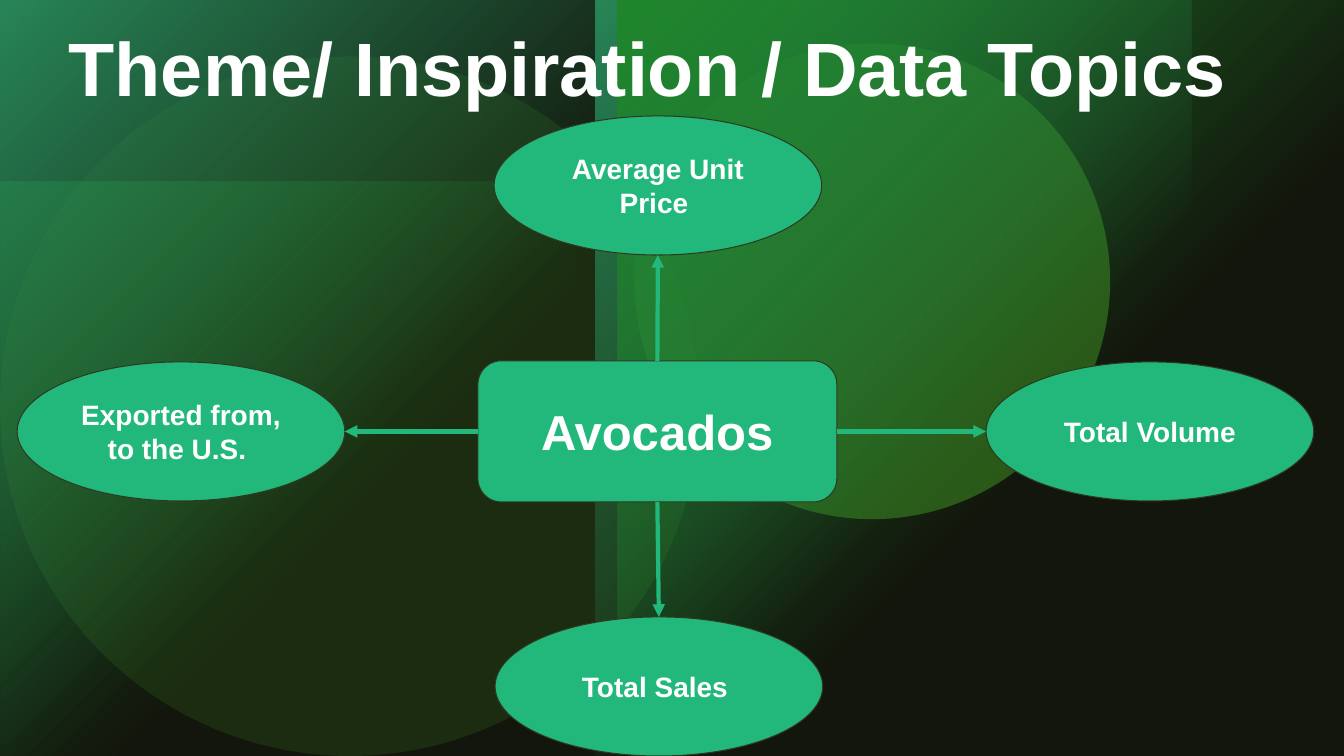
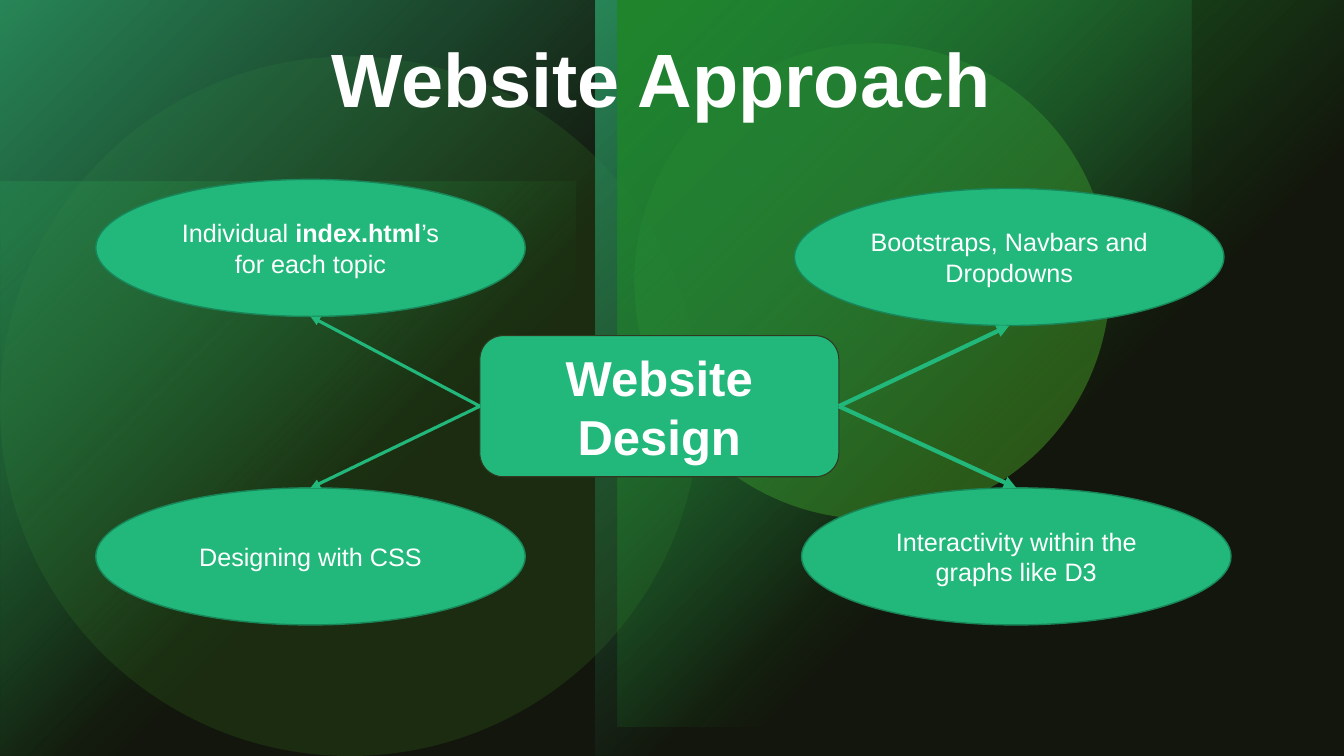
"""Build two hub-and-spoke slides on a shared green backdrop."""
from dataclasses import dataclass

from pptx import Presentation
from pptx.dml.color import RGBColor
from pptx.enum.shapes import MSO_CONNECTOR, MSO_SHAPE
from pptx.enum.text import MSO_ANCHOR, PP_ALIGN
from pptx.oxml import parse_xml
from pptx.oxml.ns import nsdecls, qn
from pptx.util import Inches, Pt

RECT, OVAL, ROUND = MSO_SHAPE.RECTANGLE, MSO_SHAPE.OVAL, MSO_SHAPE.ROUNDED_RECTANGLE
LINE = MSO_CONNECTOR.STRAIGHT
MIDDLE, TOP = MSO_ANCHOR.MIDDLE, MSO_ANCHOR.TOP
CENTER = PP_ALIGN.CENTER


@dataclass(frozen=True)
class Theme:
    font: str = "Arial"
    black: str = "000000"
    white: str = "FFFFFF"
    mint: str = "22B87B"
    green: str = "15B833"
    lime: str = "45B622"
    olive: str = "303920"
    rim: str = "188659"
    title: int = 54
    hub: int = 35


@dataclass(frozen=True)
class Style:
    size: tuple
    points: int
    bold: bool
    rim: str
    width: float
    pad: float


THEME = Theme()
HUB = Style((3.56, 1.4), THEME.hub, True, THEME.olive, 0.75, 0.1)
TOPIC = Style((3.25, 1.38), 20, True, THEME.olive, 0.75, 0.1)
STEP = Style((4.26, 1.36), 18, False, THEME.rim, 1, 0.05)

SITES = {"top": (0, 0.5, 0), "left": (1, 0, 0.5), "bottom": (2, 0.5, 1), "right": (3, 1, 0.5)}

BACKDROP = [
    (RECT, (0, 1.8, 5.71, 5.71), THEME.green, 60, True, 180, True),
    (OVAL, (6.29, 0.43, 4.72, 4.72), THEME.lime, 60, False, 180, True),
    (OVAL, (0, 0.56, 6.94, 6.94), THEME.lime, 20, False, 180, True),
    (RECT, (0, 0, 5.91, 7.5), THEME.mint, 100, True, 0, True),
    (RECT, (5.91, 0, 5.91, 7.5), THEME.mint, 100, True, 0, False),
    (RECT, (6.13, 0, 7.21, 7.21), THEME.green, 100, True, 0, True),
    (RECT, (0, 0, 13.33, 7.5), THEME.olive, 40, False, 0, False),
]

SLIDES = [
    {
        "title": "Theme/ Inspiration / Data Topics ",
        "at": (0.46, 0.26),
        "hub": ("Avocados", (4.74, 3.58)),
        "style": TOPIC,
        "nodes": [
            (["Total Volume"], (9.78, 3.59), "right", "left", 3),
            (["Exported from, to the U.S. "], (0.17, 3.59), "left", "right", 3),
            (["Total Sales "], (4.91, 6.12), "bottom", "top", 3),
            (["Average Unit Price "], (4.9, 1.15), "top", "bottom", 3),
        ],
    },
    {
        "title": "Website Approach ",
        "at": (0.59, 0.37),
        "hub": ("Website Design", (4.76, 3.33)),
        "style": STEP,
        "nodes": [
            (["Individual ", "index.html", "’s for each topic"], (0.95, 1.78), "left", "bottom", 2.25),
            (["Bootstraps, Navbars and Dropdowns"], (7.88, 1.87), "right", "bottom", 3),
            (["Designing with CSS"], (0.95, 4.84), "left", "top", 2.25),
            (["Interactivity within the graphs like D3"], (7.95, 4.84), "right", "top", 3),
        ],
    },
]


def rgb(code):
    return RGBColor.from_string(code)


def paint(code, alpha, fade):
    def tint(part):
        return f'<a:srgbClr val="{code}"><a:alpha val="{part * 1000}"/></a:srgbClr>'

    if not fade:
        return parse_xml(f'<a:solidFill {nsdecls("a")}>{tint(alpha)}</a:solidFill>')
    stops = "".join(
        f'<a:gs pos="{pos * 1000}">{tint(part)}</a:gs>'
        for pos, part in ((0, alpha), (60, 0), (100, 0))
    )
    return parse_xml(
        f'<a:gradFill {nsdecls("a")} rotWithShape="1"><a:gsLst>{stops}</a:gsLst>'
        '<a:path path="circle"><a:fillToRect r="100000" b="100000"/></a:path></a:gradFill>'
    )


def set_base(layout, slide):
    layout.background.fill.solid()
    layout.background.fill.fore_color.rgb = rgb(THEME.black)
    for holder in list(layout.placeholders):
        layout.shapes.element.remove(holder.element)
    for kind, box, code, alpha, fade, turn, flip in BACKDROP:
        shape = slide.shapes.add_shape(kind, *map(Inches, box))
        shape.shadow.inherit = False
        shape.line.fill.background()
        shape.rotation = turn
        props = shape.element.spPr
        props.insert(2, paint(code, alpha, fade))
        if flip:
            props.find(qn("a:xfrm")).set("flipH", "1")
    for shape in list(slide.shapes):
        layout.shapes.element.append(shape.element)


def set_text(shape, parts, points, bold, pad, anchor):
    frame = shape.text_frame
    frame.word_wrap = True
    frame.vertical_anchor = anchor
    frame.margin_left = frame.margin_right = Inches(0.1)
    frame.margin_top = frame.margin_bottom = Inches(pad)
    para = frame.paragraphs[0]
    para.alignment = CENTER
    for index, part in enumerate(parts):
        run = para.add_run()
        run.text = part
        run.font.name = THEME.font
        run.font.size = Pt(points)
        run.font.bold = bold or index == 1
        run.font.color.rgb = rgb(THEME.white)
    return para


def add_title(slide, text, at):
    box = slide.shapes.add_textbox(*map(Inches, (*at, 12.14, 0.88)))
    set_text(box, [text], THEME.title, True, 0.05, TOP).line_spacing = 0.9


def add_node(slide, kind, parts, at, style):
    shape = slide.shapes.add_shape(kind, *map(Inches, at + style.size))
    shape.shadow.inherit = False
    shape.fill.solid()
    shape.fill.fore_color.rgb = rgb(THEME.mint)
    shape.line.color.rgb = rgb(style.rim)
    shape.line.width = Pt(style.width)
    set_text(shape, parts, style.points, style.bold, style.pad, MIDDLE)
    return shape


def find_site(shape, side):
    _, across, down = SITES[side]
    return int(shape.left + across * shape.width), int(shape.top + down * shape.height)


def add_arrow(slide, hub, node, start, end, width):
    arrow = slide.shapes.add_connector(LINE, *find_site(hub, start), *find_site(node, end))
    arrow.begin_connect(hub, SITES[start][0])
    arrow.line.color.rgb = rgb(THEME.mint)
    arrow.line.width = Pt(width)
    arrow.line._get_or_add_ln().append(parse_xml(f'<a:tailEnd {nsdecls("a")} type="triangle"/>'))
    arrow.element.spPr.append(parse_xml(f'<a:effectLst {nsdecls("a")}/>'))


def add_map(slide, data):
    add_title(slide, data["title"], data["at"])
    name, at = data["hub"]
    hub = add_node(slide, ROUND, [name], at, HUB)
    for parts, spot, start, end, width in data["nodes"]:
        node = add_node(slide, OVAL, parts, spot, data["style"])
        add_arrow(slide, hub, node, start, end, width)


def main():
    deck = Presentation()
    deck.slide_width, deck.slide_height = Inches(13.33), Inches(7.5)
    layout = deck.slide_layouts[6]
    slides = [deck.slides.add_slide(layout) for _ in SLIDES]
    set_base(layout, slides[0])
    for slide, data in zip(slides, SLIDES):
        add_map(slide, data)
    deck.save("out.pptx")


if __name__ == "__main__":
    main()
